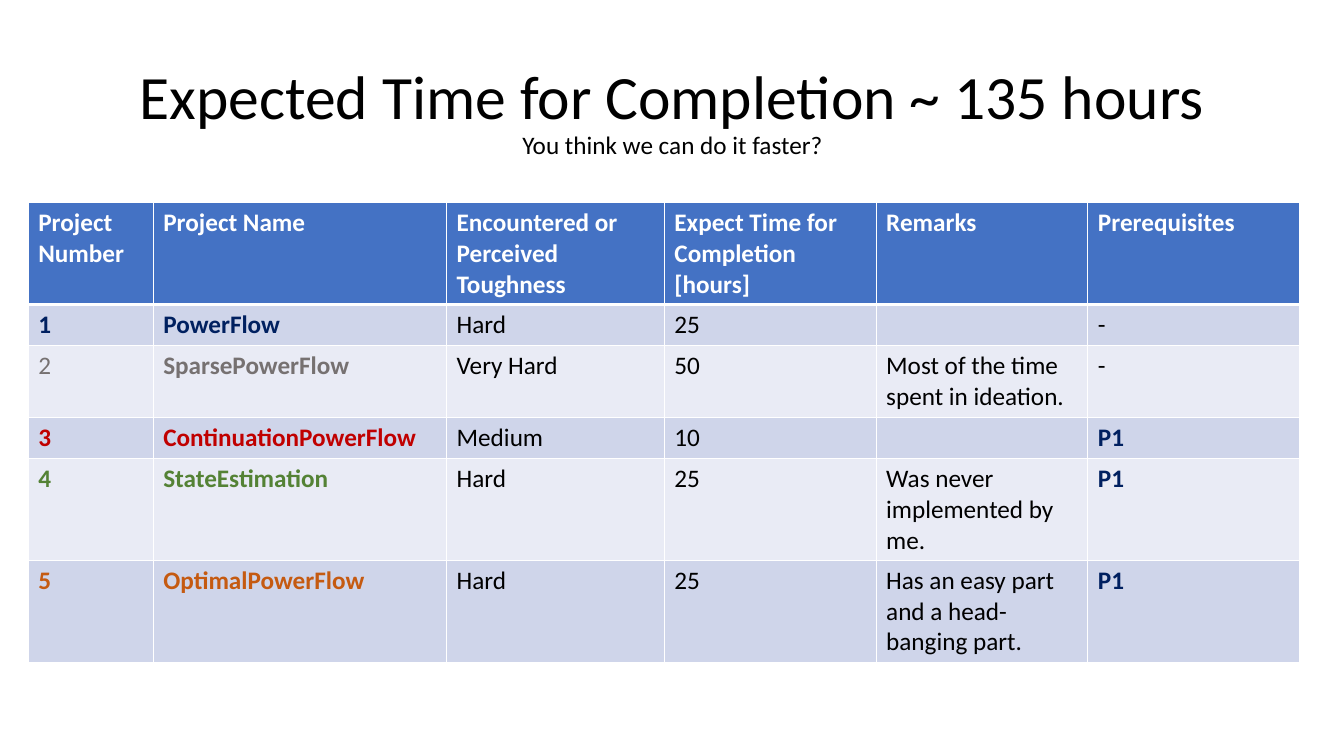
from dataclasses import dataclass

from lxml import etree
from pptx import Presentation
from pptx import util as u
from pptx.dml import color
from pptx.enum import text
from pptx.oxml import ns


@dataclass(frozen=True)
class Theme:
    font: str = "Calibri"
    title_size: int = 44
    body_size: int = 18
    ink: str = "000000"
    white: str = "FFFFFF"
    header: str = "4472C4"
    bands: tuple[str, str] = ("CFD5EA", "E9EBF5")
    navy: str = "002060"
    grey: str = "767171"
    red: str = "C00000"
    green: str = "548235"
    orange: str = "C55A11"
    rule: float = 1
    header_rule: float = 3


THEME = Theme()


@dataclass(frozen=True)
class Project:
    name: str
    toughness: str
    hours: int
    remarks: str
    prerequisite: str
    colour: str
    height: float
    bold_number: bool = True


HEADINGS = (
    "Project Number", "Project Name", "Encountered or Perceived Toughness",
    "Expect Time for Completion [hours]", "Remarks", "Prerequisites",
)
COLUMN_WIDTHS = (1.24, 2.91, 2.16, 2.1, 2.1, 2.1)
HEADER_HEIGHT = 1.01
PROJECTS = (
    Project("PowerFlow", "Hard", 25, "", "-", THEME.navy, 0.41),
    Project("SparsePowerFlow", "Very Hard", 50, "Most of the time spent in ideation.",
            "-", THEME.grey, 0.71, bold_number=False),
    Project("ContinuationPowerFlow", "Medium", 10, "", "P1", THEME.red, 0.41),
    Project("StateEstimation", "Hard", 25, "Was never implemented by me.",
            "P1", THEME.green, 1.01),
    Project("OptimalPowerFlow", "Hard", 25, "Has an easy part and a head-banging part.",
            "P1", THEME.orange, 1.01),
)


def add_span(para, words: str, size: int, colour: str, bold: bool = False) -> None:
    span = para.add_run()
    span.text = words
    span.font.color.rgb = color.RGBColor.from_string(colour)
    formats = {"name": THEME.font, "size": u.Pt(size), "bold": bold}
    for name, value in formats.items():
        setattr(span.font, name, value)


def add_title(page) -> None:
    box = page.shapes.add_textbox(u.Inches(0.92), u.Inches(0.4), u.Inches(11.5), u.Inches(1.45))
    formats = {"word_wrap": True, "vertical_anchor": text.MSO_ANCHOR.MIDDLE}
    for name, value in formats.items():
        setattr(box.text_frame, name, value)
    para = box.text_frame.paragraphs[0]
    para.alignment = text.PP_ALIGN.CENTER
    para.line_spacing = 0.9
    add_span(para, "Expected Time for Completion ~ 135 hours", THEME.title_size, THEME.ink)
    para.add_line_break()
    add_span(para, "You think we can do it faster?", THEME.body_size, THEME.ink)


def add_borders(cell, top: float, bottom: float) -> None:
    properties = cell._tc.get_or_add_tcPr()
    widths = {"a:lnL": THEME.rule, "a:lnR": THEME.rule, "a:lnT": top, "a:lnB": bottom}
    for side, width in widths.items():
        line = etree.SubElement(properties, ns.qn(side), w=str(u.Pt(width)))
        fill = etree.SubElement(line, ns.qn("a:solidFill"))
        etree.SubElement(fill, ns.qn("a:srgbClr"), val=THEME.white)


def fill_cell(cell, words: str, colour: str, bold: bool, fill: str,
              top: float, bottom: float) -> None:
    add_borders(cell, top, bottom)
    cell.fill.solid()
    cell.fill.fore_color.rgb = color.RGBColor.from_string(fill)
    if words:
        add_span(cell.text_frame.paragraphs[0], words, THEME.body_size, colour, bold)


def project_cells(number: int, project: Project) -> list[tuple[str, str, bool]]:
    """Give the wording, colour and weight of each cell in a project row."""
    needs_project = project.prerequisite != "-"
    return [
        (str(number), project.colour, project.bold_number),
        (project.name, project.colour, True),
        (project.toughness, THEME.ink, False),
        (str(project.hours), THEME.ink, False),
        (project.remarks, THEME.ink, False),
        (project.prerequisite, THEME.navy if needs_project else THEME.ink, needs_project),
    ]


def add_project_table(page) -> None:
    heights = [HEADER_HEIGHT, *(project.height for project in PROJECTS)]
    table = page.shapes.add_table(
        len(heights), len(HEADINGS), u.Inches(0.28), u.Inches(2.01),
        u.Inches(sum(COLUMN_WIDTHS)), u.Inches(sum(heights)),
    ).table
    for column, width in zip(table.columns, COLUMN_WIDTHS):
        column.width = u.Inches(width)
    for row, height in zip(table.rows, heights):
        row.height = u.Inches(height)

    # Header row
    for cell, heading in zip(table.rows[0].cells, HEADINGS):
        fill_cell(cell, heading, THEME.white, True, THEME.header,
                  THEME.rule, THEME.header_rule)

    # Banded project rows
    for number, project in enumerate(PROJECTS, start=1):
        band = THEME.bands[(number - 1) % 2]
        top = THEME.header_rule if number == 1 else THEME.rule
        contents = project_cells(number, project)
        for cell, (words, colour, bold) in zip(table.rows[number].cells, contents):
            fill_cell(cell, words, colour, bold, band, top, THEME.rule)


def main() -> None:
    deck = Presentation()
    deck.slide_width, deck.slide_height = u.Inches(13.33), u.Inches(7.5)
    page = deck.slides.add_slide(deck.slide_layouts[6])
    add_title(page)
    add_project_table(page)
    deck.save("out.pptx")


if __name__ == "__main__":
    main()
